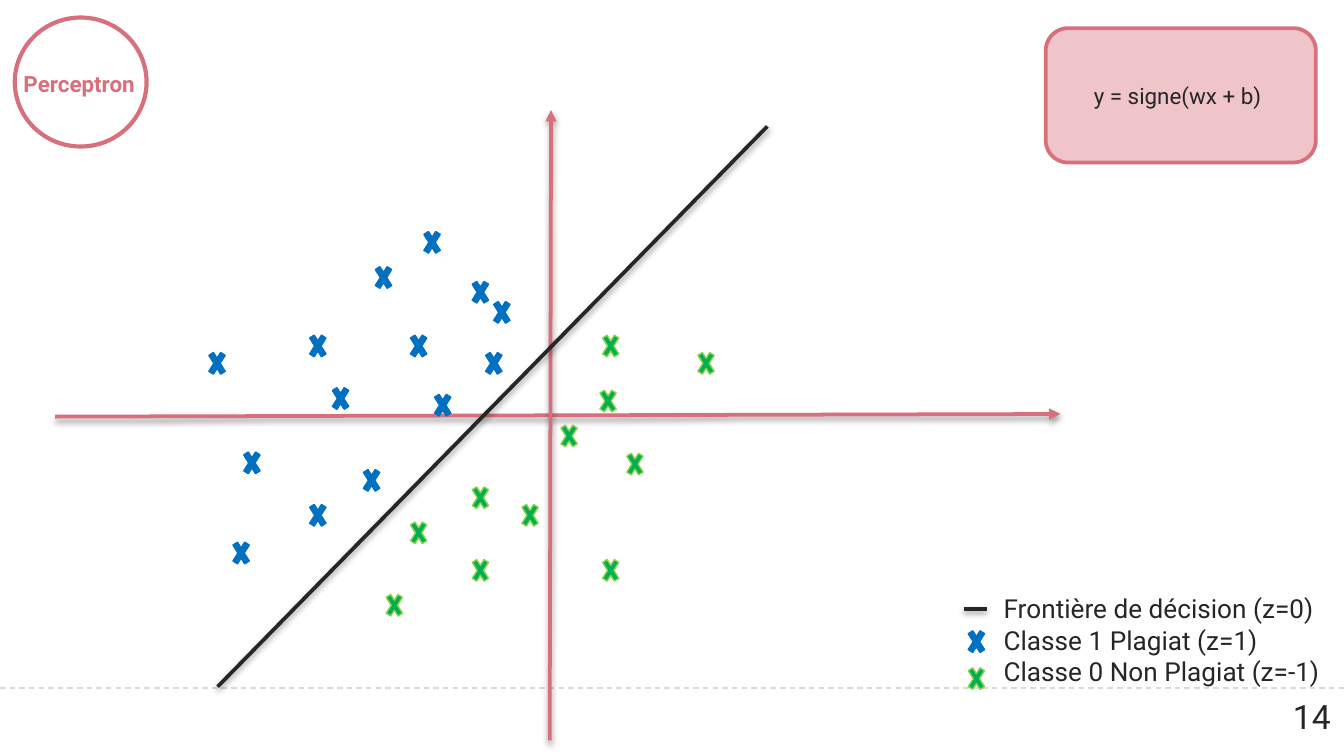
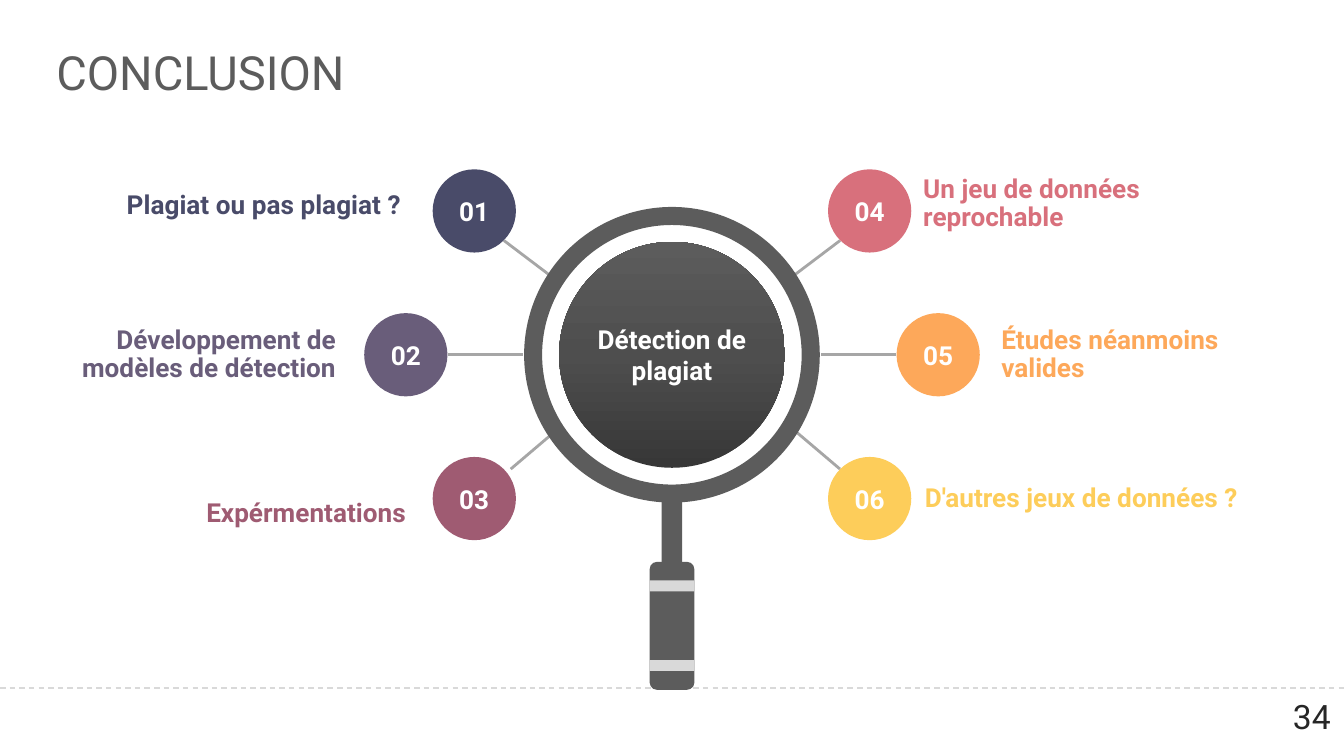
from copy import deepcopy
from lxml import etree
from pptx import Presentation
from pptx.dml.color import RGBColor
from pptx.enum import dml, shapes, text
from pptx.oxml import ns
from pptx.util import Pt

HUE = {
    "white": "FFFFFF", "ink": "262626", "grey": "5C5C5C", "mid": "4E4E4E",
    "dark": "373737", "pale": "D9D9D9", "spoke": "A6A6A6", "rose": "D8707C",
    "navy": "494B69", "plum": "695D7A", "wine": "9F5B72", "peach": "FDA85A",
    "gold": "FDCD5A", "blue": "0070C0", "green": "00B050", "lime": "92D050",
}
RGB = {name: RGBColor.from_string(code) for name, code in HUE.items()}
FONT = "Roboto"
WIDE, HIGH = 720, 405
KIND = shapes.MSO_SHAPE
LEFT, MID, RIGHT = text.PP_ALIGN.LEFT, text.PP_ALIGN.CENTER, text.PP_ALIGN.RIGHT


def put(page, kind, box, fill=None, edge=None, width=0.75, words="", size=14,
        hue="white", bold=False, align=LEFT, pad=True, anchor="TOP", gap=None):
    """Add a shape, or a text box when kind is None."""
    place = [Pt(n) for n in box]
    if kind is None:
        item = page.shapes.add_textbox(*place)
    else:
        item = page.shapes.add_shape(kind, *place)
        item.shadow.inherit = False
        if fill:
            item.fill.solid()
            item.fill.fore_color.rgb = RGB[fill]
        else:
            item.fill.background()
        if edge:
            item.line.color.rgb = RGB[edge]
            item.line.width = Pt(width)
        else:
            item.line.fill.background()
    if words:
        frame = item.text_frame
        frame.text = words
        frame.word_wrap = True
        frame.vertical_anchor = text.MSO_ANCHOR[anchor]
        if not pad:
            frame.margin_left = frame.margin_right = 0
            frame.margin_top = frame.margin_bottom = 0
        for para in frame.paragraphs:
            para.alignment = align
            if gap:
                para.line_spacing = gap
            for run in para.runs:
                run.font.name = FONT
                run.font.size = Pt(size)
                run.font.bold = bold
                run.font.color.rgb = RGB[hue]
    return item


def link(page, start, end, hue, width, shade=False, arrow=False):
    """Add a straight line, with an optional soft shadow and arrowhead."""
    line = page.shapes.add_connector(
        shapes.MSO_CONNECTOR.STRAIGHT, *[Pt(n) for n in (*start, *end)])
    line.line.color.rgb = RGB[hue]
    line.line.width = Pt(width)
    if arrow:
        etree.SubElement(line.line._get_or_add_ln(), ns.qn("a:tailEnd"), type="triangle")
    glow = etree.SubElement(line._element.spPr, ns.qn("a:effectLst"))
    if shade:
        drop = etree.SubElement(glow, ns.qn("a:outerShdw"), blurRad="40000",
                                dist="20000", dir="5400000", rotWithShape="0")
        tone = etree.SubElement(drop, ns.qn("a:srgbClr"), val="000000")
        etree.SubElement(tone, ns.qn("a:alpha"), val="38000")
    return line


deck = Presentation()
deck.slide_width, deck.slide_height = Pt(WIDE), Pt(HIGH)

# Footer of both slides: dashed rule and number band
pages = []
for number in ("14", "34"):
    page = deck.slides.add_slide(deck.slide_layouts[6])
    rule = link(page, (0, 368.6), (WIDE, 368.6), "pale", 0.75)
    rule.line.dash_style = dml.MSO_LINE.DASH
    put(page, KIND.RECTANGLE, (0, 369.2, WIDE, 35.8), "white",
        words=number, size=18, hue="ink", align=RIGHT)
    pages.append(page)
plot, wrap = pages

# Slide 1: topic badge
put(plot, KIND.OVAL, (7.9, 9.4, 70.6, 69.1), edge="rose", width=2.25)
put(plot, None, (1.4, 33.8, 82.1, 21.6), words="Perceptron", size=12,
    hue="rose", bold=True, align=MID)

# Axes and decision boundary
link(plot, (29.5, 223.2), (568.1, 221.8), "rose", 2, True, True)
link(plot, (294.5, 396.7), (295.2, 59), "rose", 2, True, True)
link(plot, (411.1, 67.7), (116.6, 367.9), "ink", 2, True)

# Points of each class; the last one of each is its legend mark
marks = {
    ("green", "lime"): [
        (321.1, 295.9), (334.1, 239), (277.9, 266.4), (372.2, 185),
        (321.1, 175.7), (319.7, 205.2), (298.8, 223.9), (218.2, 275.8),
        (205.2, 314.6), (251.3, 257), (251.3, 295.9), (517, 353.9)],
    ("blue", "blue"): [
        (218.2, 175.7), (231.1, 207.4), (193, 247.7), (164.2, 175.7),
        (251.3, 146.9), (164.2, 266.4), (128.9, 238.3), (199.4, 139),
        (176.4, 203.8), (110.2, 185), (123.1, 286.6), (225.4, 120.2),
        (262.8, 157.7), (258.5, 185), (517, 334.1)],
}
for (fill, edge), spots in marks.items():
    for x, y in spots:
        put(plot, KIND.MATH_MULTIPLY, (x, y, 12.2, 19.4), fill, edge)

# Legend
link(plot, (516.2, 326.2), (528.5, 326.2), "ink", 2, True)
put(plot, None, (530.6, 313.9, 188, 58.3), hue="ink", words="\n".join([
    "Frontière de décision (z=0)", "Classe 1 Plagiat (z=1)",
    "Classe 0 Non Plagiat (z=-1)"]))

# Formula card
card = put(plot, KIND.ROUNDED_RECTANGLE, (560.2, 15.1, 144.7, 72), "rose", "rose", 2)
tint = card._element.spPr.find(ns.qn("a:solidFill"))[0]
etree.SubElement(tint, ns.qn("a:alpha"), val="40000")
put(plot, None, (578.9, 40.3, 113, 21.6), words="y = signe(wx + b)", size=12, hue="ink")

# Slide 2: title
put(wrap, None, (30.2, 22.3, 658.8, 32.4), words="CONCLUSION", size=25.2,
    hue="grey", pad=False, anchor="MIDDLE")

# Lens with its gradient
lens = put(wrap, KIND.OVAL, (299.5, 129.6, 121, 121), "grey", words="Détection de plagiat",
           bold=True, align=MID, pad=False, anchor="MIDDLE")
lens.fill.gradient()
lens.fill.gradient_angle = 90
stops = lens._element.spPr.find(ns.qn("a:gradFill")).find(ns.qn("a:gsLst"))
stops.insert(1, deepcopy(stops[0]))
for stop, part, hue in zip(lens.fill.gradient_stops, (0, 0.5, 1), ("dark", "mid", "grey")):
    stop.position = part
    stop.color.rgb = RGB[hue]

# Handle
put(wrap, KIND.ROUNDED_RECTANGLE, (348, 301, 24, 68.6), "grey")
put(wrap, KIND.ROUNDED_RECTANGLE, (354.5, 260.6, 11, 46.8), "grey")
for y in (311, 353.6):
    put(wrap, KIND.RECTANGLE, (348, y, 24, 5.8), "pale")

# Spokes
for start, end in [
        ((270, 128.9), (293.8, 146.9)), ((239.8, 190.1), (280.1, 190.1)),
        ((273.6, 251.3), (297.4, 231.1)), ((450, 128.9), (426.2, 146.9)),
        ((480.2, 190.1), (439.9, 190.1)), ((450, 251.3), (426.2, 231.1))]:
    link(wrap, start, end, "spoke", 1.5)

# Numbered discs, mirrored about the lens, and their captions
disc = 44.6
notes = [
    ("navy", "Plagiat ou pas plagiat ?", (23.8, 103, 191, 15.1)),
    ("plum", "Développement de modèles de détection", (27.4, 175, 152.6, 30.2)),
    ("wine", "Expérmentations", (23.8, 267.8, 193.7, 15.1)),
    ("rose", "Un jeu de données reprochable", (494.6, 94.3, 193.7, 30.2)),
    ("peach", "Études néanmoins valides", (536.4, 175, 152.6, 30.2)),
    ("gold", "D'autres jeux de données ?", (495.4, 259.9, 193.7, 15.1)),
]
for i, (hue, words, box) in enumerate(notes):
    side, row = divmod(i, 3)
    x = 195.1 if row == 1 else 231.8
    if side:
        x = WIDE - x - disc
    put(wrap, KIND.OVAL, (x, 90.7 + 77.05 * row, disc, disc), hue,
        words=f"{i + 1:02}", bold=True, align=MID, pad=False, anchor="MIDDLE")
    put(wrap, None, box, words=words, hue=hue, bold=True, pad=False,
        align=LEFT if side else RIGHT, gap=0.9)

# Rim of the lens
rim = put(wrap, KIND.DONUT, (280.8, 110.9, 158.4, 158.4), "grey")
rim.adjustments[0] = 0.061

deck.save("out.pptx")
